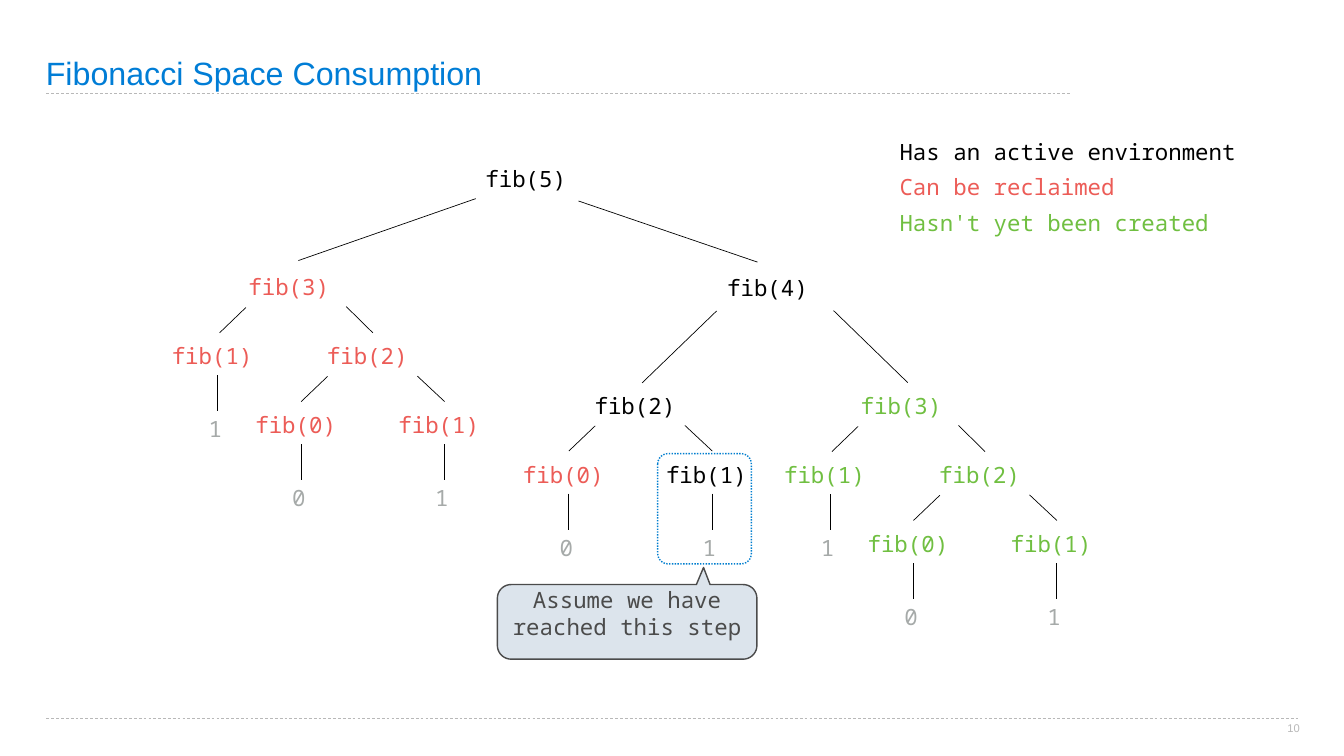
from math import cos, radians, sin

from lxml import etree
from pptx import Presentation, util as u
from pptx.dml.color import RGBColor
from pptx.enum import dml, shapes, text
from pptx.oxml.ns import qn

Cm, Pt = u.Cm, u.Pt
COLOURS = {
    "active": "000000", "reclaimed": "EC5C57", "future": "70BF41",
    "value": "A6AAA9", "title": "007DD6", "rule": "B8B8B8",
    "highlight": "007ECF", "callout": "DCE4EC", "callout_ink": "4B4B4B",
}
CODE = "Noto Sans Mono"


def write(words, box, colour="active", size=32, font=CODE, inset=0.15, indent=0.23,
          align=text.PP_ALIGN.LEFT, anchor=text.MSO_ANCHOR.MIDDLE, spacing=None):
    if isinstance(box, tuple):
        box = page.shapes.add_textbox(*[Cm(length) for length in box])
    frame = box.text_frame
    frame.word_wrap = True
    frame.vertical_anchor = anchor
    frame.margin_left = frame.margin_right = Cm(inset)
    frame.margin_top = frame.margin_bottom = Cm(inset)
    para = frame.paragraphs[0]
    para.alignment = align
    if spacing:
        para.line_spacing = spacing
    properties = para._p.get_or_add_pPr()
    properties.set("marL", str(Cm(indent)))
    properties.set("indent", "0")
    span = para.add_run()
    span.text = words
    span.font.size = Pt(size)
    span.font.name = font
    span.font.color.rgb = RGBColor.from_string(COLOURS[colour])


def connect(x1, y1, x2, y2, colour="active", dash=None):
    line = page.shapes.add_connector(
        shapes.MSO_CONNECTOR.STRAIGHT, Cm(x1), Cm(y1), Cm(x2), Cm(y2))
    line.line.color.rgb = RGBColor.from_string(COLOURS[colour])
    line.line.width = Pt(1)
    if dash:
        line.line.dash_style = dash
    etree.SubElement(line._element.spPr, qn("a:effectLst"))


deck = Presentation()
deck.slide_width, deck.slide_height = Cm(67.74), Cm(38.1)
page = deck.slides.add_slide(deck.slide_layouts[6])

for right, top in [(54, 4.72), (65.48, 36.22)]:
    connect(2.34, top, right, top, colour="rule", dash=dml.MSO_LINE.DASH)
write("Fibonacci Space Consumption", (2.31, 0, 51.59, 4.65), colour="title", size=46,
      font="Arial", inset=0, indent=0, anchor=text.MSO_ANCHOR.BOTTOM, spacing=0.9)
write("10", (64.7, 36.37, 1, 0.61), colour="rule", size=16, font="Arial", inset=0,
      indent=0, align=text.PP_ALIGN.CENTER, anchor=text.MSO_ANCHOR.TOP)

highlight = page.shapes.add_shape(
    shapes.MSO_SHAPE.ROUNDED_RECTANGLE, Cm(33.15), Cm(22.86), Cm(4.72), Cm(5.56))
highlight.adjustments[0] = 0.11
highlight.shadow.inherit = False
highlight.fill.background()
highlight.line.color.rgb = RGBColor.from_string(COLOURS["highlight"])
highlight.line.width = Pt(2)
highlight.line.dash_style = dml.MSO_LINE.ROUND_DOT

left, top, right, bottom, radius = 25.07, 29.46, 38.15, 33.22, 0.69
corners = [
    (left + radius, top + radius, 270), (left + radius, bottom - radius, 180),
    (right - radius, bottom - radius, 90), (right - radius, top + radius, 0),
]
outline = [(35.1, top)]
for x, y, start in corners:
    for step in range(0, 91, 10):
        angle = radians(start - step)
        outline.append((x + radius * cos(angle), y + radius * sin(angle)))
outline.append((35.79, top))
builder = page.shapes.build_freeform(Cm(35.46), Cm(28.6))
builder.add_line_segments([(Cm(x), Cm(y)) for x, y in outline], close=True)
callout = builder.convert_to_shape()
callout.shadow.inherit = False
callout.fill.solid()
callout.fill.fore_color.rgb = RGBColor.from_string(COLOURS["callout"])
callout.line.color.rgb = RGBColor.from_string(COLOURS["callout_ink"])
callout.line.width = Pt(2)
write("Assume we have reached this step", callout, colour="callout_ink", indent=0,
      align=text.PP_ALIGN.CENTER)

write("fib(5)", (23.06, 8.08, 6.88, 1.8), indent=0, align=text.PP_ALIGN.CENTER)
write("fib(4)", (36.27, 13.59, 5.16, 1.8))
for edge in [(23.98, 10.01, 15.04, 13.13), (29.16, 10.13, 38.18, 13.21),
             (36.12, 15.67, 32.36, 19.3), (42.01, 15.65, 45.75, 19.28)]:
    connect(*edge)

children = {
    2: [(0, -3.61, 3.48), (1, 3.6, 3.48)],
    3: [(1, -3.86, 3.5), (2, 3.96, 3.5)],
}
edges = {
    0: [(2.69, 1.87, 2.69, 3.68)],
    1: [(2.69, 1.87, 2.69, 3.68)],
    2: [(0.41, 1.93, -0.92, 3.2), (4.93, 1.91, 6.31, 3.2)],
    3: [(0.25, 1.96, -1.07, 3.23), (5.31, 1.91, 6.65, 3.23)],
}
calls = [(3, 12.14, 13.54, "reclaimed"), (2, 29.59, 19.53, "active"),
         (3, 43, 19.53, "future")]
for number, x, y, state in calls:
    write(f"fib({number})", (x, y, 5.16, 1.8), colour=state)
    for x1, y1, x2, y2 in edges[number]:
        connect(x + x1, y + y1, x + x2, y + y2)
    if number < 2:
        write(str(number), (x + 1.85, y + 3.66, 1.45, 1.8), colour="value")
    for child, across, down in children.get(number, []):
        finished = state == "active" and child == 0
        calls.append((child, x + across, y + down, "reclaimed" if finished else state))

legend = [("Has an active environment", "active"), ("Can be reclaimed", "reclaimed"),
          ("Hasn't yet been created", "future")]
for row, (words, state) in enumerate(legend):
    write(words, (44.96, 6.73 + 1.79 * row, 19.66, 1.8), colour=state)

deck.save("out.pptx")
